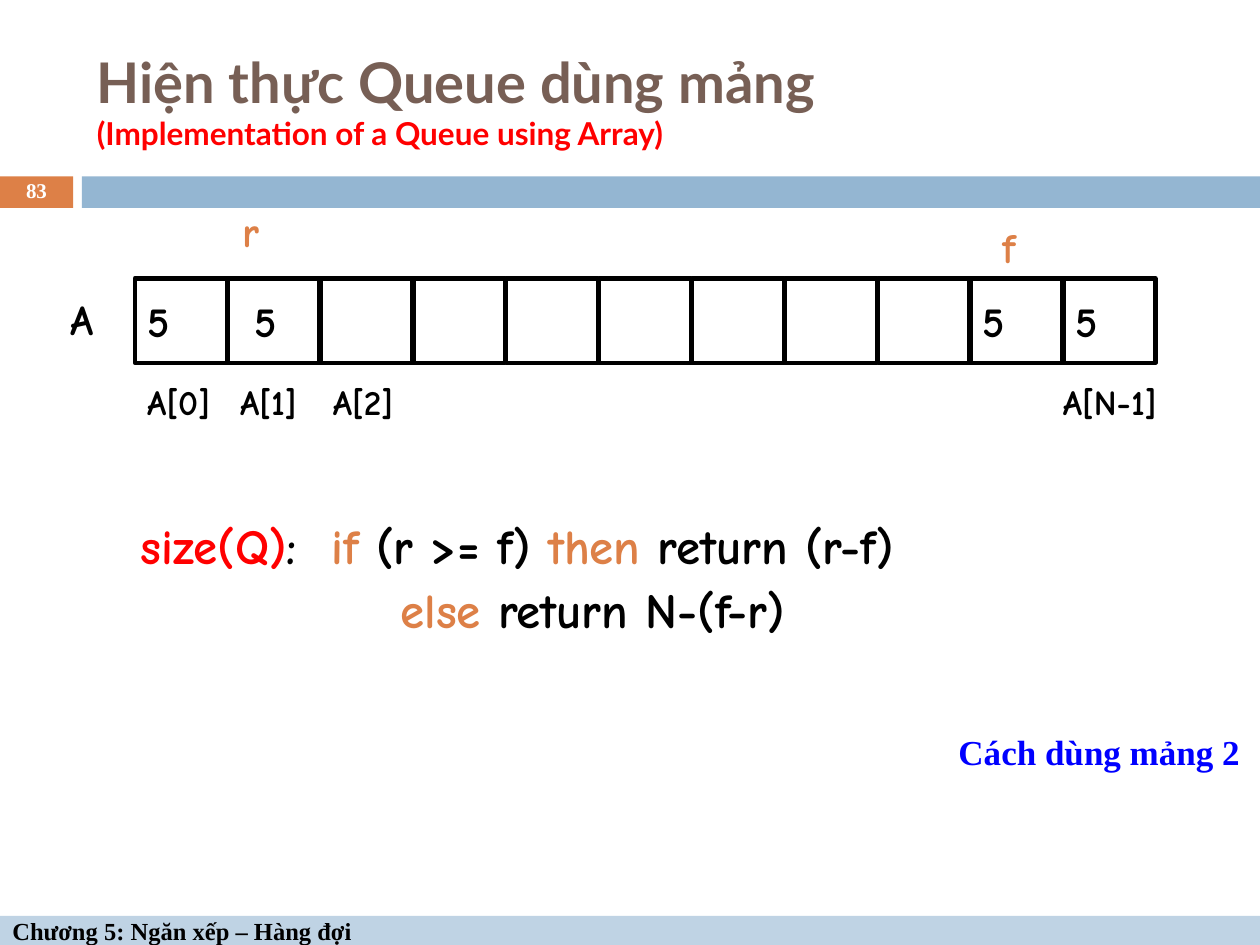
from pptx import Presentation
from pptx.dml.color import RGBColor
from pptx.enum.shapes import MSO_SHAPE
from pptx.enum.text import MSO_ANCHOR, PP_ALIGN
from pptx.oxml.ns import qn
from pptx.util import Inches, Pt
from lxml import etree

RECT = MSO_SHAPE.RECTANGLE
TOP, MIDDLE = MSO_ANCHOR.TOP, MSO_ANCHOR.MIDDLE
LEFT, CENTER, RIGHT = PP_ALIGN.LEFT, PP_ALIGN.CENTER, PP_ALIGN.RIGHT

# Slide grid: 100 columns by 75 rows
WIDTH, HEIGHT = Inches(10), Inches(7.5)
COLUMN, ROW = WIDTH / 100, HEIGHT / 75

COMIC, LATO, TIMES = "Comic Neue", "Lato", "Times New Roman"
BLACK, WHITE, RED, BLUE = "000000", "FFFFFF", "FF0000", "0000FF"
ORANGE, BROWN, SKY, PALE = "DD8047", "775F55", "94B6D2", "BFD3E4"

# Array of cells, in grid units
CELL_COUNT, ARRAY_LEFT, ARRAY_TOP = 11, 10.7, 22.1
CELL_PITCH, CELL_WIDTH, CELL_HEIGHT = 7.37, 7.3, 6.7


def color(hex_code):
    return RGBColor.from_string(hex_code)


def place(left, top, width, height):
    return [round(n) for n in (left * COLUMN, top * ROW,
                               width * COLUMN, height * ROW)]


def cell_left(index):
    return ARRAY_LEFT + index * CELL_PITCH


def write(shape, lines, font, anchor=TOP, align=LEFT):
    """Each line is a list of (text, size, hex colour) runs."""
    frame = shape.text_frame
    frame.word_wrap = True
    frame.vertical_anchor = anchor
    for number, line in enumerate(lines):
        paragraph = frame.add_paragraph() if number else frame.paragraphs[0]
        paragraph.alignment = align
        for text, size, hex_code in line:
            run = paragraph.add_run()
            run.text = text
            run.font.name = font
            run.font.size = Pt(size)
            run.font.bold = True
            run.font.color.rgb = color(hex_code)
    return frame


def add_label(slide, area, lines, font, anchor=TOP, align=LEFT):
    box = slide.shapes.add_textbox(*place(*area))
    return write(box, lines, font, anchor, align)


def add_box(slide, area, fill=None, outline=None):
    box = slide.shapes.add_shape(RECT, *place(*area))
    box.shadow.inherit = False
    if fill:
        box.fill.solid()
        box.fill.fore_color.rgb = color(fill)
    else:
        box.fill.background()
    if outline:
        box.line.color.rgb = color(outline)
        box.line.width = Pt(2.5)
    else:
        box.line.fill.background()
    return box


def set_tab_stop(paragraph, columns):
    tabs = etree.SubElement(paragraph._p.get_or_add_pPr(), qn("a:tabLst"))
    etree.SubElement(tabs, qn("a:tab"), pos=str(round(columns * COLUMN)),
                     algn="l")


def add_frame(slide):
    # Header bars, page number and footer
    add_box(slide, (0, 14, 5.8, 2.5), ORANGE)
    add_box(slide, (6.5, 14, 93.5, 2.5), SKY)
    footer = add_box(slide, (0, 72.7, 100, 2.3), PALE)
    write(footer, [[("Chương 5: Ngăn xếp – Hàng đợi", 14, BLACK)]],
          TIMES, MIDDLE)
    page = add_label(slide, (0, 13.9, 5.8, 2.7), [[("83", 12, WHITE)]],
                     TIMES, MIDDLE, CENTER)
    page.paragraphs[0].line_spacing = 0.8

    # Title
    add_label(slide, (6.7, 2.5, 89.2, 10.8),
              [[("Hiện thực Queue dùng mảng", 32, BROWN)],
               [("(Implementation of a Queue using Array)", 18, RED)]],
              LATO, MIDDLE)


def add_array(slide):
    # Cells, the filled ones holding a value
    filled = (0, 1, CELL_COUNT - 2, CELL_COUNT - 1)
    for index in range(CELL_COUNT):
        cell = add_box(slide, (cell_left(index), ARRAY_TOP,
                               CELL_WIDTH, CELL_HEIGHT), outline=BLACK)
        if index in filled:
            frame = write(cell, [[("5", 24, BLACK)]], COMIC, MIDDLE)
            if index == 1:
                frame.margin_left = round(2.1 * COLUMN)

    # Array name and the rear and front markers
    for name, left, top, hex_code in (("A", 4.6, 22.8, BLACK),
                                      ("r", 18.3, 15.8, ORANGE),
                                      ("f", 78.6, 17.1, ORANGE)):
        add_label(slide, (left, top, 7.4, 5), [[(name, 24, hex_code)]], COMIC)

    # Index labels
    for name, position in (("A[0]", 0), ("A[1]", 1), ("A[2]", 2),
                           ("A[N-1]", 9.86)):
        add_label(slide, (cell_left(position), 29.7, 12, 4.4),
                  [[(name, 20, BLACK)]], COMIC)


def add_size_rule(slide):
    words = [[("size(Q)", RED), (":\t", BLACK), ("if", ORANGE),
              (" (r >= f) ", BLACK), ("then", ORANGE),
              (" return (r-f)", BLACK)],
             [("else ", ORANGE), ("return N-(f-r)", BLACK)]]
    lines = [[(text, 28, hex_code) for text, hex_code in line]
             for line in words]
    frame = add_label(slide, (10.2, 40.4, 79.8, 10.5), lines, COMIC)
    condition, otherwise = frame.paragraphs
    set_tab_stop(condition, 15.1)
    otherwise.line_spacing = 0.5
    otherwise.space_before = Pt(17.5)
    otherwise._p.get_or_add_pPr().set("marL", str(round(20.6 * COLUMN)))


def main():
    deck = Presentation()
    deck.slide_width, deck.slide_height = WIDTH, HEIGHT
    slide = deck.slides.add_slide(deck.slide_layouts[6])
    add_frame(slide)
    add_array(slide)
    add_size_rule(slide)
    add_label(slide, (70, 57.5, 29.4, 4.4),
              [[("Cách dùng mảng 2", 20, BLUE)]], TIMES, align=RIGHT)
    deck.save("out.pptx")


main()
